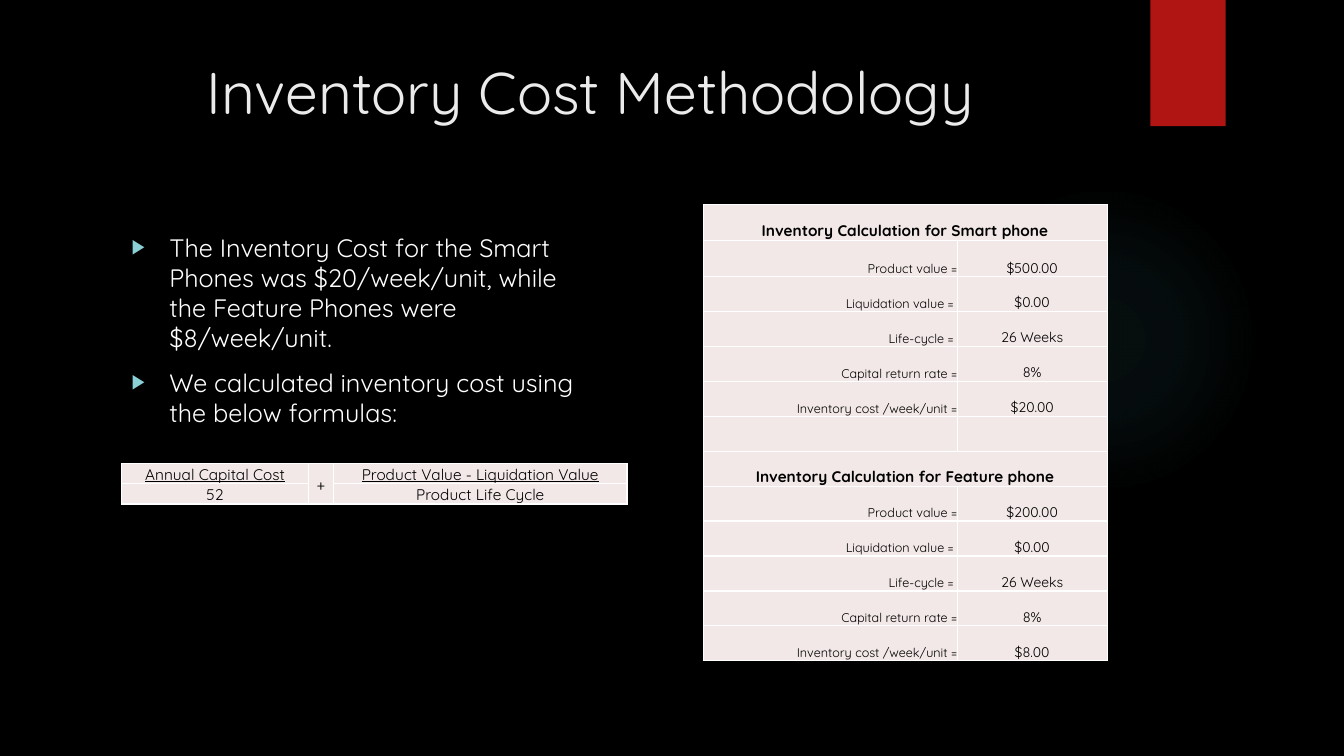
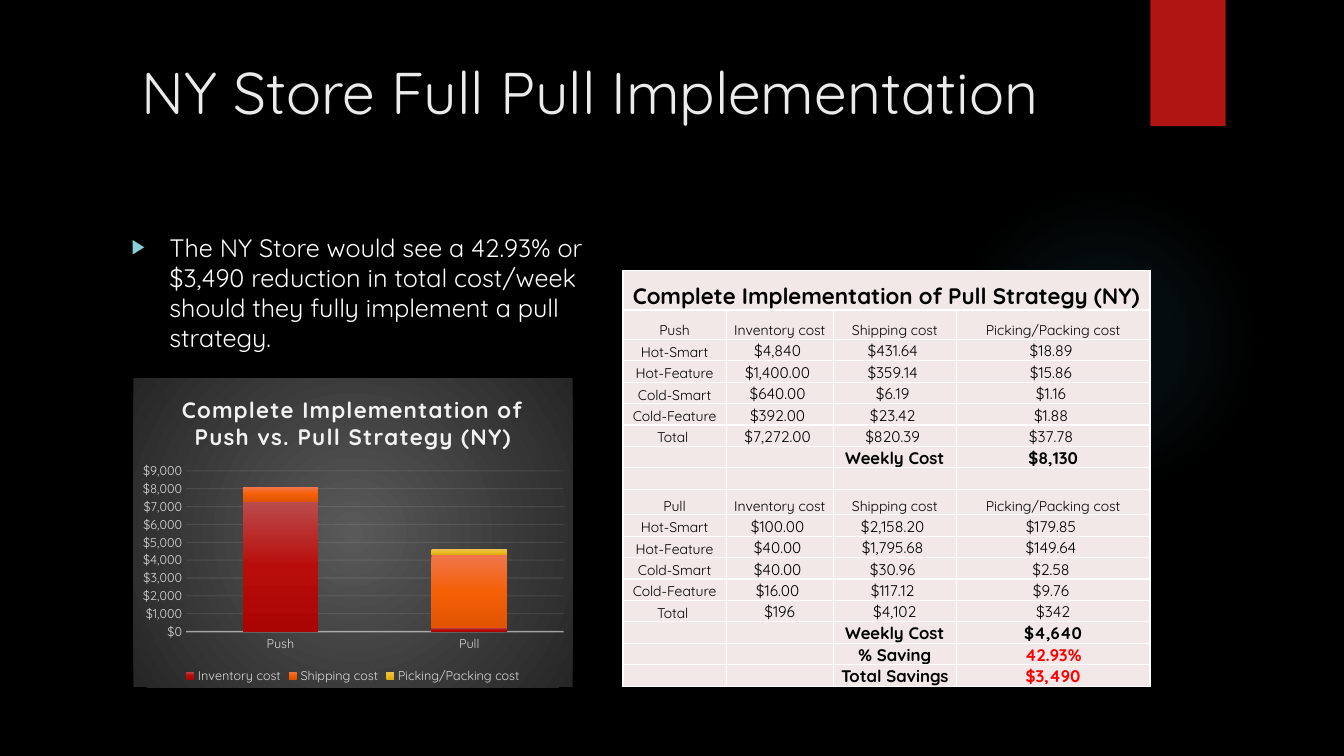
"""Build two slides on inventory cost and a store's pull implementation."""
from dataclasses import dataclass, replace

import lxml.etree
import pptx
import pptx.chart.data
import pptx.dml.color
import pptx.enum.chart
import pptx.enum.shapes
import pptx.enum.text
import pptx.oxml.ns
import pptx.util

RGBColor = pptx.dml.color.RGBColor
Cm = pptx.util.Cm
Pt = pptx.util.Pt
qn = pptx.oxml.ns.qn
ALIGN = pptx.enum.text.PP_ALIGN
ANCHOR = pptx.enum.text.MSO_ANCHOR
SHAPE = pptx.enum.shapes.MSO_SHAPE

BLACK = RGBColor(0x00, 0x00, 0x00)
WHITE = RGBColor(0xFF, 0xFF, 0xFF)
RED = RGBColor(0xFF, 0x00, 0x00)
BAND_RED = RGBColor(0xB0, 0x15, 0x13)
GLOW_TEAL = RGBColor(0x50, 0xB9, 0xC1)
BULLET_TEAL = RGBColor(0x8A, 0xD0, 0xD6)
TITLE_GREY = RGBColor(0xEB, 0xEB, 0xEB)
CELL_PINK = RGBColor(0xF2, 0xE8, 0xE7)
AXIS_WHITE = RGBColor(0xF2, 0xF2, 0xF2)
LABEL_GREY = RGBColor(0xD9, 0xD9, 0xD9)
CHART_CENTRE = RGBColor(0x59, 0x59, 0x59)
CHART_EDGE = RGBColor(0x26, 0x26, 0x26)
INVENTORY_REDS = (RGBColor(0xBB, 0x4C, 0x4C), RGBColor(0xB8, 0x0D, 0x0B), RGBColor(0xAA, 0x05, 0x03))
SHIPPING_ORANGES = (RGBColor(0xF1, 0x76, 0x4C), RGBColor(0xF5, 0x60, 0x07), RGBColor(0xE0, 0x54, 0x00))
PICKING_YELLOWS = (RGBColor(0xEB, 0xBF, 0x53), RGBColor(0xEF, 0xBC, 0x20), RGBColor(0xDF, 0xAC, 0x11))

FONT = "Quicksand"


@dataclass(frozen=True)
class Style:
    """Look of one run of text and its paragraph."""
    size: int
    color: RGBColor = BLACK
    bold: bool = False
    underline: bool = False
    align: ALIGN = ALIGN.CENTER


TITLE = Style(42, TITLE_GREY)
BODY = Style(18, WHITE, align=ALIGN.LEFT)
CALC_HEADING = Style(11, bold=True)
CALC_LABEL = Style(9, align=ALIGN.RIGHT)
FORMULA = Style(11)
NUMERATOR = replace(FORMULA, underline=True)
COST_HEADING = Style(16, bold=True)
COST_LABEL = Style(10)
COST_VALUE = Style(11)
SUMMARY = Style(12, bold=True)
SAVING = replace(SUMMARY, color=RED)
CHART_LABEL = Style(9, LABEL_GREY)
CHART_HEADING = Style(16, AXIS_WHITE, bold=True)
EMPTY = ("", COST_LABEL)


def add_element(parent, tag, **attributes):
    """Append one XML element and return it."""
    child = lxml.etree.SubElement(parent, qn(tag))
    for key, value in attributes.items():
        child.set(key, str(value))
    return child


def apply_font(font, style):
    """Give a font the look of a style."""
    font.name = FONT
    font.size = Pt(style.size)
    font.bold = style.bold
    font.underline = style.underline
    font.color.rgb = style.color


def write(paragraph, text, style):
    """Add one styled run to a paragraph."""
    paragraph.alignment = style.align
    run = paragraph.add_run()
    run.text = text
    apply_font(run.font, style)
    return run


def set_gradient(properties, stops, radial):
    """Fill with a gradient of (position, colour, opacity) stops."""
    gradient = add_element(properties, "a:gradFill", rotWithShape=1)
    geometry = properties.find(qn("a:prstGeom"))
    properties.insert(0 if geometry is None else properties.index(geometry) + 1, gradient)
    stop_list = add_element(gradient, "a:gsLst")
    for position, color, opacity in stops:
        stop = add_element(stop_list, "a:gs", pos=position * 1000)
        tint = add_element(stop, "a:srgbClr", val=color)
        if opacity < 100:
            add_element(tint, "a:alpha", val=opacity * 1000)
    if radial:
        shade = add_element(gradient, "a:path", path="circle")
        add_element(shade, "a:fillToRect", l=50000, t=50000, r=50000, b=50000)
    else:
        add_element(gradient, "a:lin", ang=5400000, scaled=0)


def set_line(line, color, width, opacity):
    """Give a chart line a colour, width and opacity."""
    line.color.rgb = color
    line.width = Pt(width)
    tint = line._get_or_add_ln().find(".//" + qn("a:srgbClr"))
    add_element(tint, "a:alpha", val=opacity * 1000)


def add_decoration(slide, kind, left, top, width, height):
    """Add a plain shape without line or shadow."""
    decoration = slide.shapes.add_shape(kind, Cm(left), Cm(top), Cm(width), Cm(height))
    decoration.shadow.inherit = False
    decoration.line.fill.background()
    return decoration


def add_text_frame(slide, left, top, width, height):
    """Add a wrapping text box and return its frame."""
    frame = slide.shapes.add_textbox(Cm(left), Cm(top), Cm(width), Cm(height)).text_frame
    frame.word_wrap = True
    return frame


def add_base_slide(prs, title):
    """Add a slide with the shared glow, band and title."""
    slide = prs.slides.add_slide(prs.slide_layouts[6])
    slide.background.fill.solid()
    slide.background.fill.fore_color.rgb = BLACK
    glow = add_decoration(slide, SHAPE.OVAL, 23.9, 4.65, 7.82, 7.82)
    stops = [(0, GLOW_TEAL, 7), (36, GLOW_TEAL, 6), (69, GLOW_TEAL, 0)]
    set_gradient(glow._element.spPr, stops, radial=True)
    band = add_decoration(slide, SHAPE.RECTANGLE, 28.99, 0, 1.9, 3.18)
    band.fill.solid()
    band.fill.fore_color.rgb = BAND_RED
    frame = add_text_frame(slide, 1.8, 1.27, 26.14, 3.89)
    write(frame.paragraphs[0], title, TITLE)
    return slide


def add_bullets(slide, height, points):
    """Add the bulleted body text."""
    frame = add_text_frame(slide, 3.07, 5.72, 12.22, height)
    for index, point in enumerate(points):
        paragraph = frame.add_paragraph() if index else frame.paragraphs[0]
        write(paragraph, point, BODY)
        paragraph.space_before = Pt(10)
        properties = paragraph._p.get_or_add_pPr()
        properties.set("marL", str(Cm(0.95)))
        properties.set("indent", str(-Cm(0.95)))
        add_element(add_element(properties, "a:buClr"), "a:srgbClr", val=BULLET_TEAL)
        add_element(properties, "a:buSzPct", val=80000)
        add_element(properties, "a:buFont", typeface="Arial")
        add_element(properties, "a:buChar", char="▶")


def format_cell(cell, text, style, margin):
    """Fill, border and write one table cell."""
    cell.fill.solid()
    cell.fill.fore_color.rgb = CELL_PINK
    cell.margin_left = cell.margin_right = cell.margin_top = Cm(margin)
    cell.margin_bottom = 0
    cell.vertical_anchor = ANCHOR.MIDDLE if cell.span_height > 1 else ANCHOR.BOTTOM
    properties = cell._tc.get_or_add_tcPr()
    for index, side in enumerate(("a:lnL", "a:lnR", "a:lnT", "a:lnB")):
        border = add_element(properties, side, w=Pt(1))
        add_element(add_element(border, "a:solidFill"), "a:srgbClr", val=WHITE)
        properties.insert(index, border)
    paragraph = cell.text_frame.paragraphs[0]
    if text:
        write(paragraph, text, style)
    else:
        paragraph._p.get_or_add_endParaRPr().set("sz", str(style.size * 100))


def add_grid(slide, left, top, widths, heights, rows, merges, margin=0.03):
    """Add a table of (text, style) cells with merged (row, column) pairs."""
    grid = slide.shapes.add_table(len(heights), len(widths), Cm(left), Cm(top),
                                  Cm(sum(widths)), Cm(sum(heights))).table
    grid.first_row = grid.horz_banding = False
    for column, width in zip(grid.columns, widths):
        column.width = Cm(width)
    for row, height in zip(grid.rows, heights):
        row.height = Cm(height)
    for first, last in merges:
        grid.cell(*first).merge(grid.cell(*last))
    for r, row in enumerate(rows):
        for c, (text, style) in enumerate(row):
            format_cell(grid.cell(r, c), text, style, margin)


def calculation_rows(phone, value, cost):
    """Return the heading and five lines of one phone's calculation."""
    lines = [("Product value =", value), ("Liquidation value = ", "$0.00"),
             ("Life-cycle = ", "26 Weeks"), ("Capital return rate =", "8%"),
             ("Inventory cost /week/unit =", cost)]
    heading = [(f"Inventory Calculation for {phone} phone", CALC_HEADING), EMPTY]
    return [heading] + [[(label, CALC_LABEL), (amount, COST_LABEL)] for label, amount in lines]


def summary_row(label, amount, style=SUMMARY):
    """Return a row that sums up in its last two cells."""
    return [EMPTY, EMPTY, (label, SUMMARY), (amount, style)]


def strategy_rows(strategy, costs, weekly):
    """Return the header, cost lines and weekly cost of one strategy."""
    names = (strategy, "Inventory cost", "Shipping cost", "Picking/Packing cost")
    labels = ("Hot-Smart", "Hot-Feature", "Cold-Smart", "Cold-Feature", "Total ")
    rows = [[(name, COST_LABEL) for name in names]]
    for label, amounts in zip(labels, costs):
        rows.append([(label, COST_LABEL)] + [(amount, COST_VALUE) for amount in amounts])
    return rows + [summary_row("Weekly Cost", weekly)]


def place_plot(plot_area, **fractions):
    """Fix the inner plot area at fractions of the chart."""
    layout = plot_area.find(qn("c:layout"))
    if layout is None:
        layout = add_element(plot_area, "c:layout")
        plot_area.insert(0, layout)
    manual = add_element(layout, "c:manualLayout")
    add_element(manual, "c:layoutTarget", val="inner")
    for mode in ("c:xMode", "c:yMode"):
        add_element(manual, mode, val="edge")
    for side, fraction in fractions.items():
        add_element(manual, f"c:{side}", val=fraction)


def add_cost_chart(slide):
    """Add the stacked chart of push and pull costs."""
    costs = pptx.chart.data.CategoryChartData()
    costs.categories = ["Push", "Pull"]
    costs.add_series("Inventory cost", (7300, 200))
    costs.add_series("Shipping cost", (800, 4100))
    costs.add_series("Picking/Packing cost", (0, 300))
    chart = slide.shapes.add_chart(pptx.enum.chart.XL_CHART_TYPE.COLUMN_STACKED, Cm(3.36), Cm(9.53),
                                   Cm(11.07), Cm(7.79), costs).chart
    apply_font(chart.font, Style(10, WHITE))
    heading = write(chart.chart_title.text_frame.paragraphs[0],
                    "Complete Implementation of Push vs. Pull Strategy (NY)", CHART_HEADING)
    heading._r.get_or_add_rPr().set("spc", "100")

    plot = chart.plots[0]
    plot.gap_width, plot.overlap, plot.vary_by_categories = 150, 100, False
    for series, shades in zip(plot.series, (INVENTORY_REDS, SHIPPING_ORANGES, PICKING_YELLOWS)):
        stops = [(position, shade, 100) for position, shade in zip((0, 50, 100), shades)]
        set_gradient(series._element.get_or_add_spPr(), stops, radial=False)

    amounts = chart.value_axis
    for axis in (chart.category_axis, amounts):
        axis.major_tick_mark = axis.minor_tick_mark = pptx.enum.chart.XL_TICK_MARK.NONE
        apply_font(axis.tick_labels.font, CHART_LABEL)
    set_line(chart.category_axis.format.line, AXIS_WHITE, 1, 54)
    amounts.minimum_scale, amounts.maximum_scale, amounts.major_unit = 0, 9000, 1000
    amounts.tick_labels.number_format = '"$"#,##0'
    amounts.tick_labels.number_format_is_linked = False
    amounts.format.line.fill.background()
    set_line(amounts.major_gridlines.format.line, AXIS_WHITE, 0.75, 10)

    chart.has_legend = True
    chart.legend.position = pptx.enum.chart.XL_LEGEND_POSITION.BOTTOM
    chart.legend.include_in_layout = False
    apply_font(chart.legend.font, CHART_LABEL)

    content = chart._chartSpace.find(qn("c:chart"))
    place_plot(content.find(qn("c:plotArea")), x=0.12, y=0.3, w=0.86, h=0.52)
    backdrop = lxml.etree.Element(qn("c:spPr"))
    set_gradient(backdrop, [(0, CHART_CENTRE, 100), (100, CHART_EDGE, 100)], radial=True)
    add_element(add_element(backdrop, "a:ln"), "a:noFill")
    content.addnext(backdrop)


def add_methodology_slide(prs):
    """Add the slide on how inventory cost is worked out."""
    slide = add_base_slide(prs, "Inventory Cost Methodology")
    add_bullets(slide, 11.66, [
        "The Inventory Cost for the Smart Phones was $20/week/unit, while the Feature Phones were $8/week/unit.",
        "We calculated inventory cost using the below formulas:"])
    rows = (calculation_rows("Smart", "$500.00", "$20.00") + [[EMPTY, EMPTY]]
            + calculation_rows("Feature", "$200.00", "$8.00"))
    add_grid(slide, 17.72, 5.15, [6.4, 3.78], [0.91] * 2 + [0.88] * 11, rows,
             [((0, 0), (0, 1)), ((7, 0), (7, 1))], margin=0)
    formula = [[("Annual Capital Cost", NUMERATOR), ("+", FORMULA),
                ("Product Value - Liquidation Value", NUMERATOR)],
               [("52", FORMULA), EMPTY, ("Product Life Cycle", FORMULA)]]
    add_grid(slide, 3.07, 11.68, [4.7, 0.64, 7.39], [0.51] * 2, formula, [((0, 1), (1, 1))])


def add_store_slide(prs):
    """Add the slide on the store's savings."""
    slide = add_base_slide(prs, "NY Store Full Pull Implementation")
    add_bullets(slide, 4.55, ["The NY Store would see a 42.93% or $3,490 reduction in total cost/week "
                              "should they fully implement a pull strategy."])
    push = [("$4,840 ", "$431.64 ", "$18.89 "), ("$1,400.00 ", "$359.14 ", "$15.86 "),
            ("$640.00 ", "$6.19 ", "$1.16 "), ("$392.00 ", "$23.42 ", "$1.88 "),
            ("$7,272.00 ", "$820.39 ", "$37.78 ")]
    pull = [("$100.00 ", "$2,158.20 ", "$179.85 "), ("$40.00 ", "$1,795.68 ", "$149.64 "),
            ("$40.00 ", "$30.96 ", "$2.58 "), ("$16.00 ", "$117.12 ", "$9.76 "),
            ("$196", "$4,102", "$342")]
    heading = [("Complete Implementation of Pull Strategy (NY)", COST_HEADING)] + [EMPTY] * 3
    rows = ([heading] + strategy_rows("Push", push, "$8,130") + [[EMPTY] * 4]
            + strategy_rows("Pull", pull, "$4,640")
            + [summary_row("% Saving", "42.93%", SAVING), summary_row("Total Savings", "$3,490", SAVING)])
    add_grid(slide, 15.7, 6.81, [2.6, 2.7, 3.1, 4.88], [1, 0.74] + [0.54] * 7 + [0.64] + [0.54] * 8,
             rows, [((0, 0), (0, 3))])
    add_cost_chart(slide)


def main():
    """Build and save the slides."""
    prs = pptx.Presentation()
    prs.slide_width, prs.slide_height = Cm(33.87), Cm(19.05)
    add_methodology_slide(prs)
    add_store_slide(prs)
    prs.save("out.pptx")


if __name__ == "__main__":
    main()
